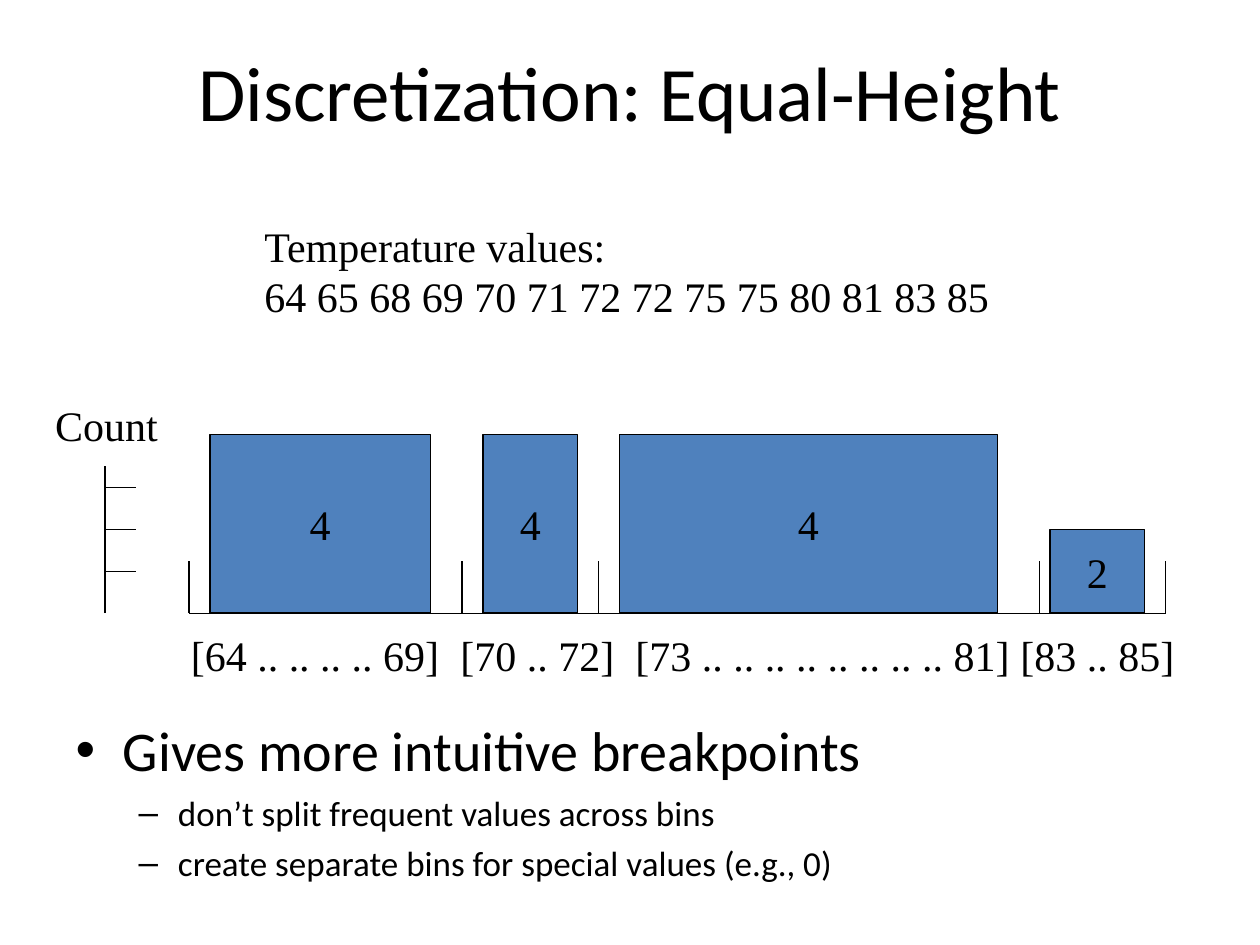
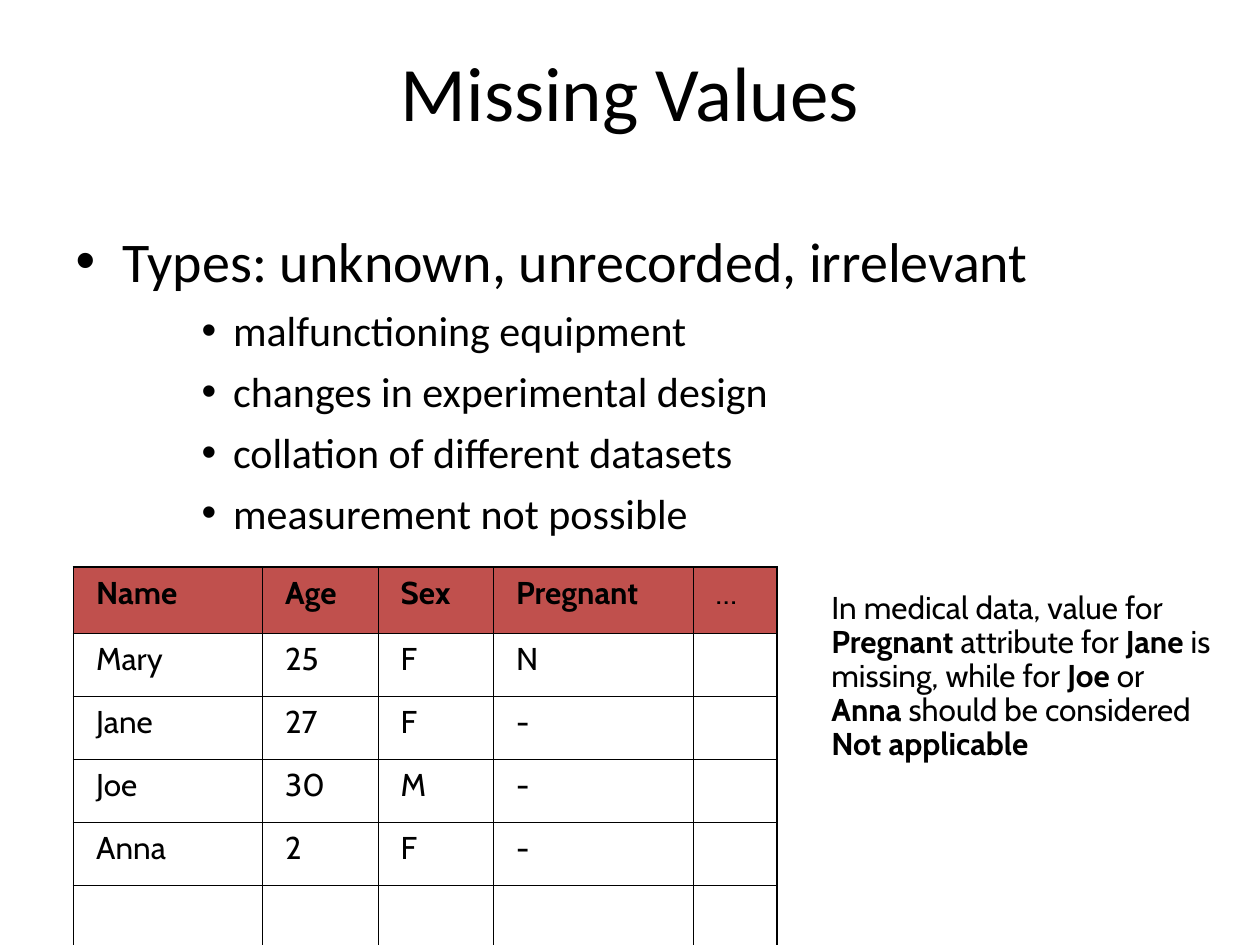
import pptx
import pptx.dml.color
import pptx.enum.shapes
import pptx.enum.text
import pptx.oxml
import pptx.oxml.ns
import pptx.util

Pt = pptx.util.Pt
ALIGN = pptx.enum.text.PP_ALIGN
ANCHOR = pptx.enum.text.MSO_ANCHOR
BLACK, BAR_BLUE, HEADER_RED = "000000", "4F81BD", "C0504D"
HEADING, FIGURE, TABLE = "Calibri", "Times New Roman", "Cabin"
BODY_LEVELS = [(32, 8), (20, 5), (24, 6)]  # size and space before, by level


def color(hex_string):
    return pptx.dml.color.RGBColor.from_string(hex_string)


def xml(markup):
    opening, rest = markup.split(" ", 1)
    return pptx.oxml.parse_xml(f"{opening} {pptx.oxml.ns.nsdecls('a')} {rest}")


def write(paragraph, text, font=FIGURE, size=24, bold=False, ink=BLACK,
          align=ALIGN.LEFT, spacing=None, before=0, tabs=()):
    """Fill a paragraph; parts between asterisks are bold."""
    paragraph.alignment = align
    paragraph.space_before = Pt(before)
    if spacing:
        paragraph.line_spacing = spacing
    if tabs:
        stops = "".join(f'<a:tab pos="{Pt(stop)}" algn="l"/>' for stop in tabs)
        paragraph._p.get_or_add_pPr().append(xml(f"<a:tabLst >{stops}</a:tabLst>"))
    for index, part in enumerate(text.split("*")):
        if part:
            run = paragraph.add_run()
            run.text = part
            run.font.name, run.font.size = font, Pt(size)
            run.font.bold = bold or index % 2 == 1
            run.font.color.rgb = color(ink)


class Deck:
    def __init__(self):
        self.presentation = pptx.Presentation()
        self.presentation.slide_width = Pt(720)
        self.presentation.slide_height = Pt(540)
        self.slide = None

    def place(self, shape, left, top, width, height):
        shape.left, shape.top = Pt(left), Pt(top)
        shape.width, shape.height = Pt(width), Pt(height)
        shape.text_frame.auto_size = pptx.enum.text.MSO_AUTO_SIZE.NONE
        shape.text_frame.vertical_anchor = ANCHOR.TOP

    def start(self, title):
        layout = self.presentation.slide_layouts[1]
        self.slide = self.presentation.slides.add_slide(layout)
        heading = self.slide.shapes.title
        self.place(heading, 36, 21.6, 648, 90)
        write(heading.text_frame.paragraphs[0], title, font=HEADING, size=44,
              align=ALIGN.CENTER)

    def bullets(self, top, height, items):
        """Fill the body placeholder with (level, text) items."""
        body = self.slide.placeholders[1]
        self.place(body, 36, top, 648, height)
        frame = body.text_frame
        for index, (level, text) in enumerate(items):
            paragraph = frame.add_paragraph() if index else frame.paragraphs[0]
            paragraph.level = level
            size, before = BODY_LEVELS[level]
            write(paragraph, text, font=HEADING, size=size,
                  before=before if index else 0)

    def text(self, left, top, width, height, *lines, **style):
        box = self.slide.shapes.add_textbox(Pt(left), Pt(top), Pt(width), Pt(height))
        frame = box.text_frame
        frame.word_wrap = True
        for index, line in enumerate(lines):
            paragraph = frame.add_paragraph() if index else frame.paragraphs[0]
            write(paragraph, line, **style)

    def line(self, x1, y1, x2, y2):
        connector = self.slide.shapes.add_connector(
            pptx.enum.shapes.MSO_CONNECTOR.STRAIGHT, Pt(x1), Pt(y1), Pt(x2), Pt(y2))
        connector.line.color.rgb = color(BLACK)
        connector.line.width = Pt(0.75)
        connector._element.spPr.append(xml("<a:effectLst />"))

    def bar(self, left, top, width, height, label):
        bar = self.slide.shapes.add_shape(
            pptx.enum.shapes.MSO_SHAPE.RECTANGLE,
            Pt(left), Pt(top), Pt(width), Pt(height))
        bar.shadow.inherit = False
        bar.fill.solid()
        bar.fill.fore_color.rgb = color(BAR_BLUE)
        bar.line.color.rgb = color(BLACK)
        bar.line.width = Pt(0.75)
        bar.text_frame.vertical_anchor = ANCHOR.MIDDLE
        write(bar.text_frame.paragraphs[0], label, align=ALIGN.CENTER)

    def table(self, left, top, widths, heights, rows):
        table = self.slide.shapes.add_table(
            len(rows), len(widths), Pt(left), Pt(top),
            Pt(sum(widths)), Pt(sum(heights))).table
        table.horz_banding = False
        for column, width in zip(table.columns, widths):
            column.width = Pt(width)
        last_row, last_column = len(rows) - 1, len(widths) - 1
        for r, texts in enumerate(rows):
            table.rows[r].height = Pt(heights[r])
            for c, text in enumerate(texts):
                cell = table.cell(r, c)
                cell.margin_left = cell.margin_right = Pt(13)
                if r == 0:
                    cell.fill.solid()
                    cell.fill.fore_color.rgb = color(HEADER_RED)
                else:
                    cell.fill.background()
                write(cell.text_frame.paragraphs[0], text, font=TABLE, size=18,
                      bold=r == 0 and c < last_column, spacing=1.01)
                self.borders(cell, L=c == 0, R=c == last_column,
                             T=r == 0, B=r == last_row)

    def borders(self, cell, **outer_sides):
        for index, (side, outer) in enumerate(outer_sides.items()):
            width = Pt(1.08 if outer else 0.45)
            cell._tc.get_or_add_tcPr().insert(index, xml(
                f'<a:ln{side} w="{width}"><a:solidFill><a:srgbClr val="{BLACK}"/>'
                f"</a:solidFill></a:ln{side}>"))


def equal_height_slide(deck):
    deck.start("Discretization: Equal-Height")
    deck.bullets(405, 110, [
        (0, "Gives more intuitive breakpoints"),
        (1, "don’t split frequent values across bins"),
        (1, "create separate bins for special values (e.g., 0)")])
    deck.text(144, 122.4, 428.4, 93.6, "Temperature values:",
              "64 65 68 69 70 71 72 72 75 75 80 81 83 85")

    base = 350.4
    count_axis = 60
    deck.text(24.5, 224.6, 80, 36, "Count")
    deck.line(count_axis, base, count_axis, base - 84)
    for step in range(1, 4):
        tick = base - 24 * step
        deck.line(count_axis, tick, count_axis + 18, tick)

    bin_edges = [108, 264, 342, 594, 666]
    deck.line(bin_edges[0], base, bin_edges[-1], base)
    for edge in bin_edges:
        deck.line(edge, base, edge, base - 30)
    for left, width, height, count in [(120, 126, 102, "4"), (276, 54, 102, "4"),
                                       (354, 216, 102, "4"), (600, 54, 48, "2")]:
        deck.bar(left, base - height, width, height, count)

    intervals = ["[64 .. .. .. .. 69]", "[70 .. 72]",
                 "[73 .. .. .. .. .. .. .. .. 81]", "[83 .. 85]"]
    deck.text(102, 356.4, 590, 36, "\t".join(intervals), tabs=(154, 254, 474))


def missing_values_slide(deck):
    deck.start("Missing Values")
    deck.bullets(126, 356.4, [
        (0, "Types: unknown, unrecorded, irrelevant"),
        (2, "malfunctioning equipment"),
        (2, "changes in experimental design"),
        (2, "collation of different datasets"),
        (2, "measurement not possible")])
    patients = [
        ("Name", "Age", "Sex", "Pregnant", "…"),
        ("Mary", "25", "F", "N", ""),
        ("Jane", "27", "F", "-", ""),
        ("Joe", "30", "M", "-", ""),
        ("Anna", "2", "F", "-", ""),
        ("",) * 5]
    deck.table(42, 324, [108, 66, 66, 114, 48], [38] + [36] * 5, patients)
    deck.text(468, 334.8, 231, 145.4,
              "In medical data, value for *Pregnant* attribute for *Jane* is missing, "
              "while for *Joe* or *Anna* should be considered *Not applicable*",
              font=TABLE, size=18, spacing=0.9)


def main():
    deck = Deck()
    equal_height_slide(deck)
    missing_values_slide(deck)
    deck.presentation.save("out.pptx")


if __name__ == "__main__":
    main()
